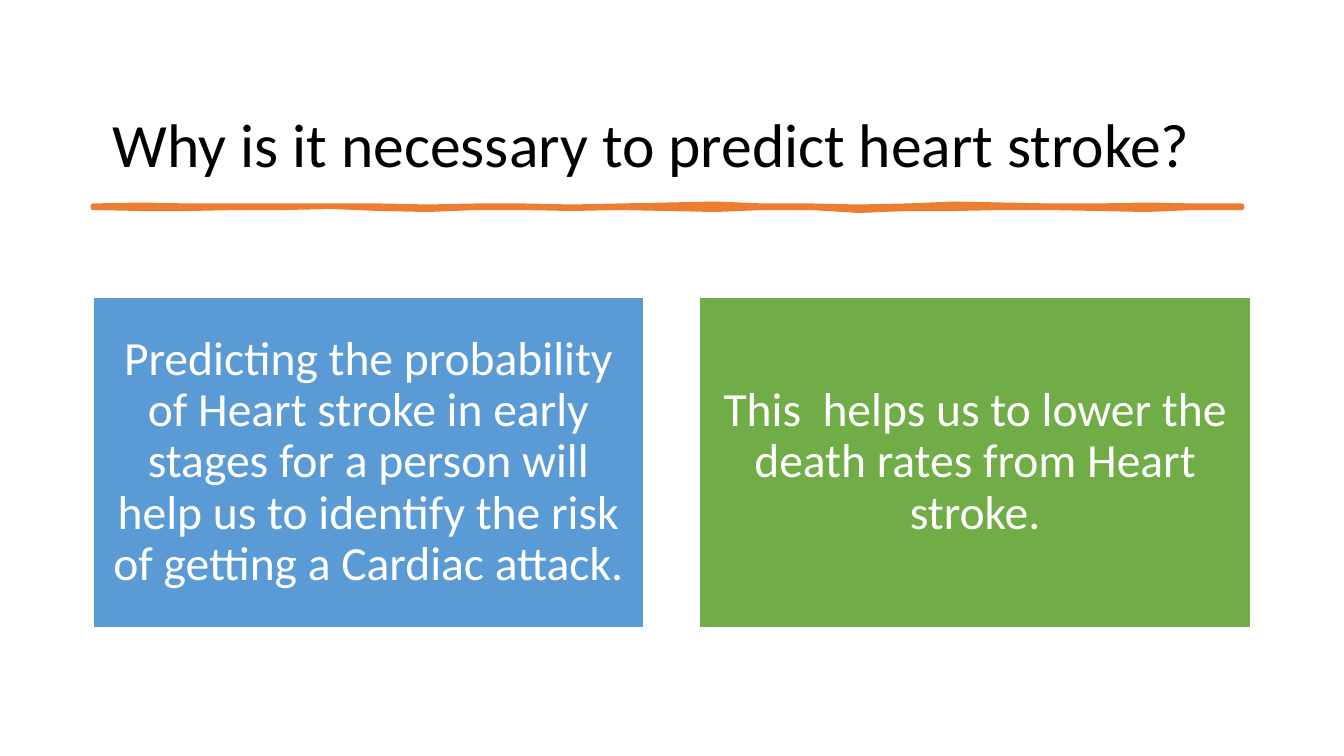
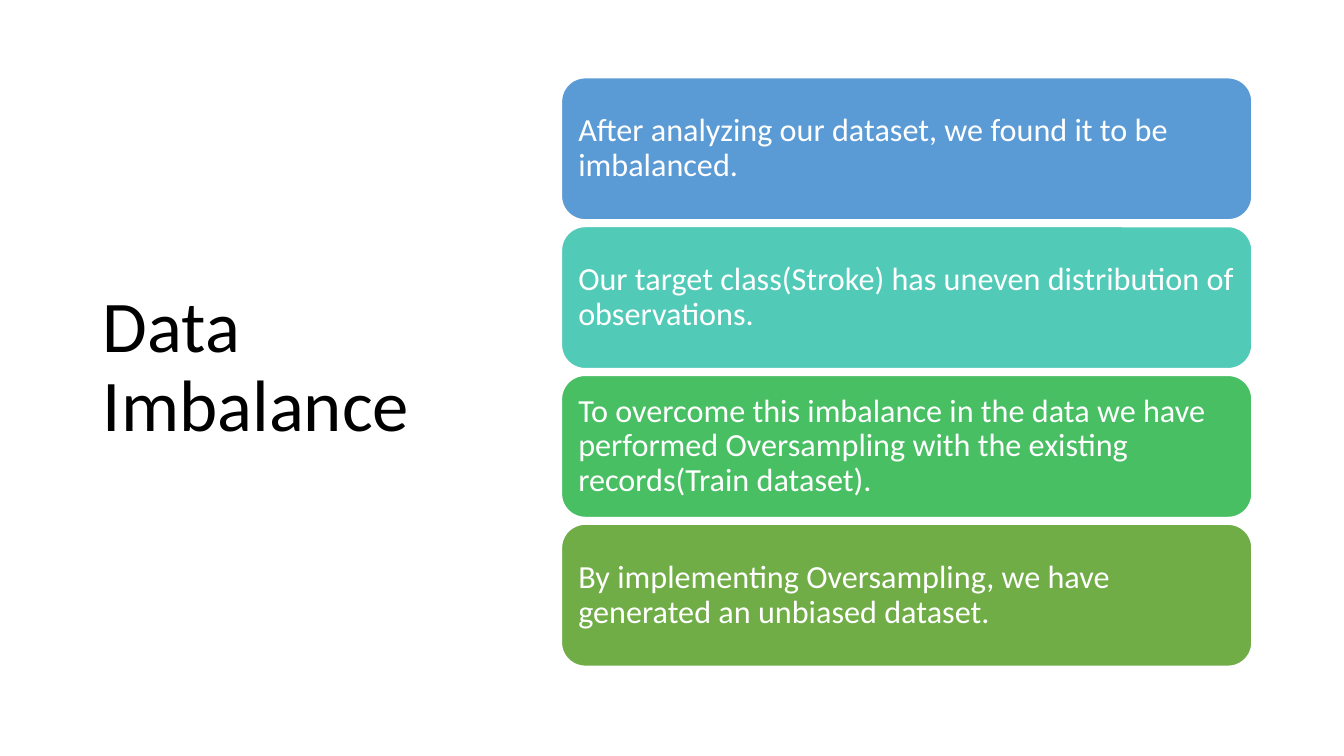
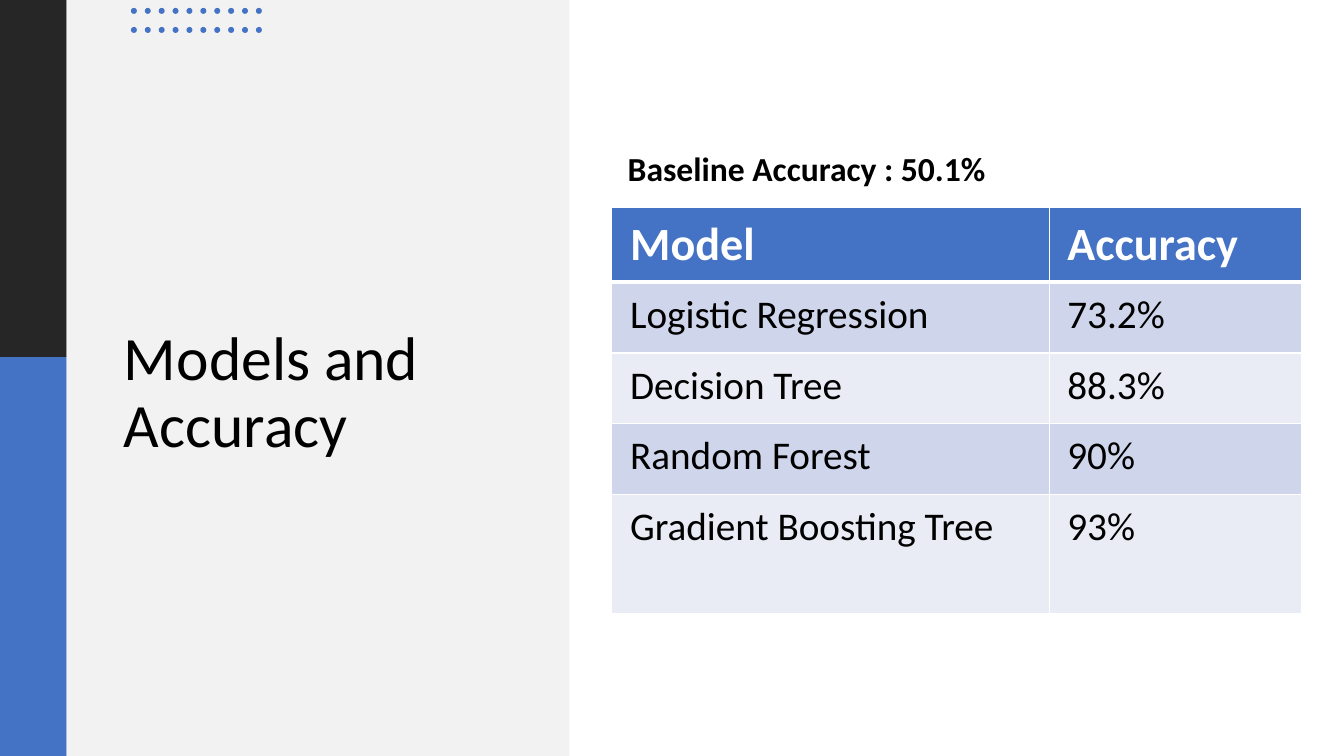
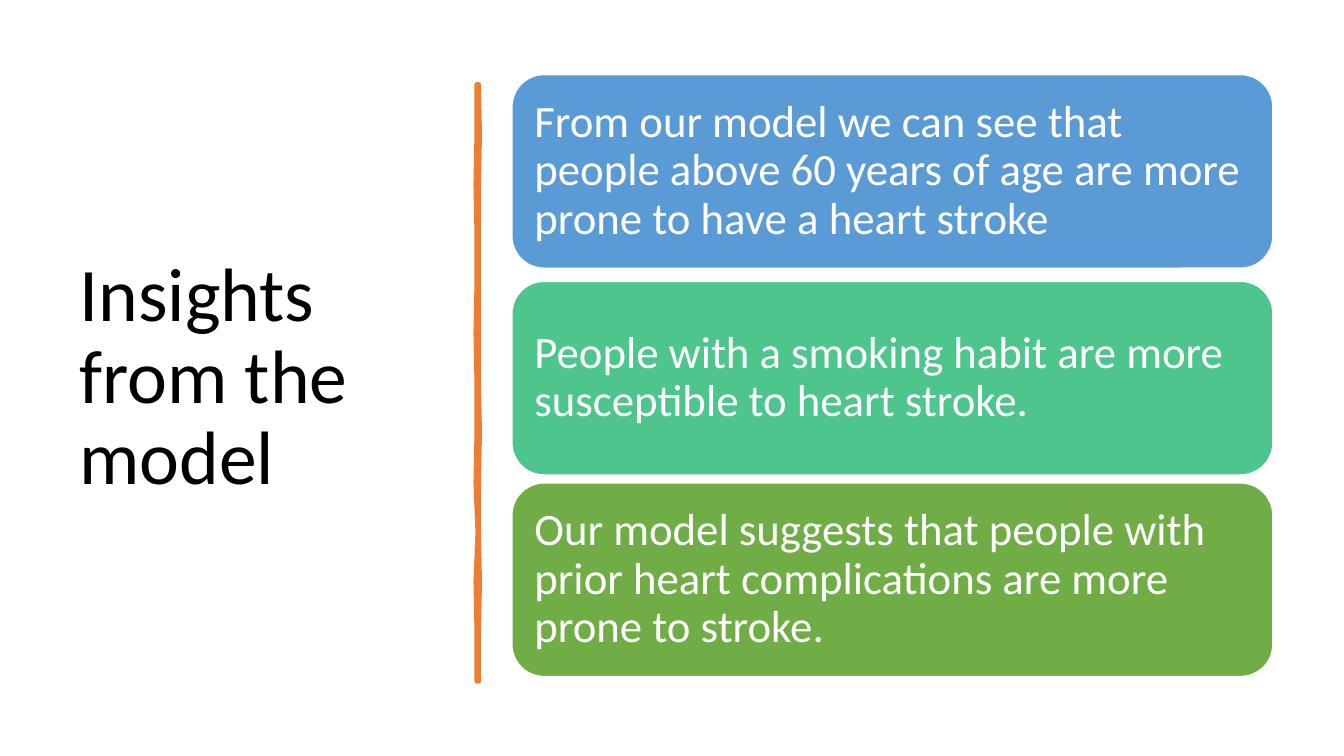
from dataclasses import dataclass

from lxml import etree
from pptx import Presentation
from pptx import util as u
from pptx.dml import color
from pptx.enum import shapes, text
from pptx.oxml import ns


@dataclass(frozen=True)
class Theme:
    font: str = "Calibri"
    white: str = "FFFFFF"
    black: str = "000000"
    blue: str = "5B9BD5"
    teal: str = "52CAB8"
    mint: str = "4DC58D"
    emerald: str = "49BF64"
    green: str = "70AD47"
    orange: str = "ED7D31"
    royal: str = "4472C4"
    dark: str = "262626"
    pale: str = "F2F2F2"
    band_odd: str = "CFD5EA"
    band_even: str = "E9EBF5"
    title: int = 44
    title_large: int = 52
    title_huge: int = 54
    card_small: int = 23
    card: int = 32
    card_large: int = 34
    table_head: int = 33
    table_body: int = 28
    label: int = 24
    line_spacing: float = 0.9


T = Theme()


@dataclass(frozen=True)
class Box:
    left: float
    top: float
    width: float
    height: float

    def lengths(self) -> tuple:
        return tuple(u.Cm(v) for v in (self.left, self.top, self.width, self.height))


@dataclass(frozen=True)
class Card:
    left: float
    top: float
    fill: str
    words: str


@dataclass(frozen=True)
class CardStyle:
    shape: shapes.MSO_SHAPE
    width: float
    height: float
    size: int
    inset: float
    align: text.PP_ALIGN = text.PP_ALIGN.LEFT


def rgb(value: str) -> color.RGBColor:
    return color.RGBColor.from_string(value)


def write(tf, words: str, size: int, ink: str, bold: bool = False) -> None:
    tf.text = words
    for p in tf.paragraphs:
        for r in p.runs:
            r.font.name = T.font
            r.font.size = u.Pt(size)
            r.font.bold = bold
            r.font.color.rgb = rgb(ink)


def set_insets(tf, inset: float) -> None:
    tf.margin_left = tf.margin_right = u.Cm(inset)
    tf.margin_top = tf.margin_bottom = u.Cm(inset)


def add_title(s, words: str, box: Box, size: int, anchor=text.MSO_ANCHOR.MIDDLE) -> None:
    sp = s.shapes.title
    sp.left, sp.top, sp.width, sp.height = box.lengths()
    tf = sp.text_frame
    write(tf, words, size, T.black)
    tf.word_wrap = True
    tf.auto_size = text.MSO_AUTO_SIZE.NONE
    tf.vertical_anchor = anchor
    p = tf.paragraphs[0]
    p.alignment = text.PP_ALIGN.LEFT
    p.line_spacing = T.line_spacing
    s.shapes.element.append(sp.element)


def add_block(s, kind: shapes.MSO_SHAPE, box: Box, fill: str):
    sp = s.shapes.add_shape(kind, *box.lengths())
    sp.shadow.inherit = False
    sp.fill.solid()
    sp.fill.fore_color.rgb = rgb(fill)
    sp.line.fill.background()
    return sp


def add_cards(s, style: CardStyle, cards: list[Card]) -> None:
    for card in cards:
        box = Box(card.left, card.top, style.width, style.height)
        sp = add_block(s, style.shape, box, card.fill)
        sp.line.color.rgb = rgb(T.white)
        sp.line.width = u.Pt(1)
        tf = sp.text_frame
        write(tf, card.words, style.size, T.white)
        tf.word_wrap = True
        tf.vertical_anchor = text.MSO_ANCHOR.MIDDLE
        set_insets(tf, style.inset)
        p = tf.paragraphs[0]
        p.alignment = style.align
        p.line_spacing = T.line_spacing


def add_brush(s, left: float, top: float, length: float,
              edges: list[tuple[int, int]], vertical: bool = False) -> None:
    step = length / (len(edges) - 1)
    near = [(i * step, -a * 0.025) for i, (a, _) in enumerate(edges)]
    far = [(i * step, b * 0.025) for i, (_, b) in enumerate(edges)]
    outline = near + far[::-1]
    if vertical:
        outline = [(y, x) for x, y in outline]
    points = [(u.Cm(left + x), u.Cm(top + y)) for x, y in outline]
    fb = s.shapes.build_freeform(*points[0])
    fb.add_line_segments(points[1:], close=True)
    sp = fb.convert_to_shape()
    sp.shadow.inherit = False
    sp.fill.solid()
    sp.fill.fore_color.rgb = rgb(T.orange)
    sp.line.color.rgb = rgb(T.orange)
    sp.line.width = u.Pt(3.25)
    etree.SubElement(sp.line.fill._xPr, ns.qn("a:round"))


def set_borders(cell, top: float, bottom: float) -> None:
    tcPr = cell._tc.get_or_add_tcPr()
    widths = {"lnL": 1, "lnR": 1, "lnT": top, "lnB": bottom}
    for i, (tag, width) in enumerate(widths.items()):
        ln = etree.Element(ns.qn(f"a:{tag}"), w=str(u.Pt(width)))
        fill = etree.SubElement(ln, ns.qn("a:solidFill"))
        etree.SubElement(fill, ns.qn("a:srgbClr"), val=T.white)
        tcPr.insert(i, ln)


def add_model_table(s, left: float, top: float, widths: list[float],
                    heights: list[float], rows: list[tuple[str, str]]) -> None:
    box = Box(left, top, sum(widths), sum(heights))
    table = s.shapes.add_table(len(rows), len(widths), *box.lengths()).table
    for column, width in zip(table.columns, widths):
        column.width = u.Cm(width)
    for i, (row, height) in enumerate(zip(rows, heights)):
        table.rows[i].height = u.Cm(height)
        head = i == 0
        band = T.royal if head else (T.band_odd if i % 2 else T.band_even)
        for j, words in enumerate(row):
            cell = table.cell(i, j)
            cell.fill.solid()
            cell.fill.fore_color.rgb = rgb(band)
            cell.margin_left = cell.margin_right = u.Cm(0.46)
            cell.margin_top = cell.margin_bottom = u.Cm(0.23)
            write(cell.text_frame, words, T.table_head if head else T.table_body,
                  T.white if head else T.black, bold=head)
            set_borders(cell, top=3 if i == 1 else 1, bottom=3 if head else 1)


def add_dots(s, left: float, top: float, columns: int, rows: int) -> None:
    for row in range(rows):
        for column in range(columns):
            dot = Box(left + column * 0.35, top + row * 0.48, 0.15, 0.15)
            add_block(s, shapes.MSO_SHAPE.OVAL, dot, T.royal)


def necessity_slide(s) -> None:
    add_title(s, "Why is it necessary to predict heart stroke?",
              Box(2.59, 1.88, 29.21, 3.68), T.title)
    add_brush(s, 2.34, 5.21, 28.96, [
        (1, 1), (2, 2), (1, 2), (1, 1), (1, 1), (1, 0), (1, 2), (0, 3), (1, 1),
        (1, 1), (0, 2), (1, 1), (2, 2), (3, 3), (1, 1), (1, 1), (0, 4), (1, 2),
        (3, 2), (2, 1), (1, 1), (1, 2), (2, 3), (1, 1), (1, 1)])
    style = CardStyle(shapes.MSO_SHAPE.RECTANGLE, 13.89, 8.33, T.card_large, 0.36,
                      text.PP_ALIGN.CENTER)
    add_cards(s, style, [
        Card(2.34, 7.49, T.blue,
             "Predicting the probability of Heart stroke\u00a0in early stages for a "
             "person will help us to identify the risk of getting a Cardiac attack."),
        Card(17.63, 7.49, T.green,
             "This\u00a0 helps us to lower the death rates from Heart stroke."),
    ])


def imbalance_slide(s) -> None:
    add_title(s, "Data Imbalance", Box(2.34, 1.55, 9.37, 15.47), T.title_large)
    steps = [
        (T.blue, "After analyzing our dataset, we found it to be imbalanced."),
        (T.teal, "Our target class(Stroke) has uneven distribution of observations."),
        (T.emerald, "To overcome this imbalance in the data we have performed "
                    "Oversampling with the existing records(Train dataset)."),
        (T.green, "By implementing Oversampling, we have generated an unbiased dataset."),
    ]
    style = CardStyle(shapes.MSO_SHAPE.ROUNDED_RECTANGLE, 17.4, 3.58, T.card_small, 0.25)
    add_cards(s, style, [Card(14.15, 1.96 + i * 3.75, fill, words)
                         for i, (fill, words) in enumerate(steps)])


def accuracy_slide(s) -> None:
    for box, fill in [
        (Box(0, 0, 1.68, 9), T.dark),
        (Box(0, 9, 1.68, 10.05), T.royal),
        (Box(1.68, 0, 12.67, 19.05), T.pale),
    ]:
        add_block(s, shapes.MSO_SHAPE.RECTANGLE, box, fill)
    add_title(s, "Models and Accuracy", Box(2.87, 3.2, 10.54, 8.53), T.title,
              text.MSO_ANCHOR.BOTTOM)
    add_dots(s, 3.3, 0.2, columns=10, rows=2)
    add_model_table(s, 15.42, 5.23, [11.02, 6.35], [1.83, 1.78, 1.78, 1.78, 3], [
        ("Model", "Accuracy"),
        ("Logistic Regression", "73.2%"),
        ("Decision Tree", "88.3%"),
        ("Random Forest", "90%"),
        ("Gradient Boosting Tree", "93%"),
    ])
    label = s.shapes.add_textbox(*Box(15.57, 3.61, 10.06, 1.27).lengths())
    label.text_frame.word_wrap = True
    write(label.text_frame, "Baseline Accuracy : 50.1%", T.label, T.black, bold=True)


def insights_slide(s) -> None:
    add_title(s, "Insights from the model", Box(1.75, 1.78, 9.5, 15.52), T.title_huge)
    add_brush(s, 12.04, 2.13, 15.04, [
        (1, 1), (1, 2), (2, 1), (1, 1), (1, 1), (2, 1), (1, 1), (1, 2), (2, 1),
        (0, 1), (2, 2), (1, 1), (1, 1)], vertical=True)
    style = CardStyle(shapes.MSO_SHAPE.ROUNDED_RECTANGLE, 19.18, 4.88, T.card, 0.33)
    add_cards(s, style, [
        Card(12.9, 1.88, T.blue,
             "From our model we can see that people above 60 years of age are more "
             "prone to have a heart stroke"),
        Card(12.9, 7.09, T.mint,
             "People with a smoking habit are more susceptible to heart stroke."),
        Card(12.9, 12.17, T.green,
             "Our model suggests that people with prior heart complications are more "
             "prone to stroke."),
    ])


def main() -> None:
    prs = Presentation()
    prs.slide_width = u.Cm(33.87)
    prs.slide_height = u.Cm(19.05)
    title_only = prs.slide_layouts.get_by_name("Title Only")
    for build in (necessity_slide, imbalance_slide, accuracy_slide, insights_slide):
        build(prs.slides.add_slide(title_only))
    prs.save("out.pptx")


main()
